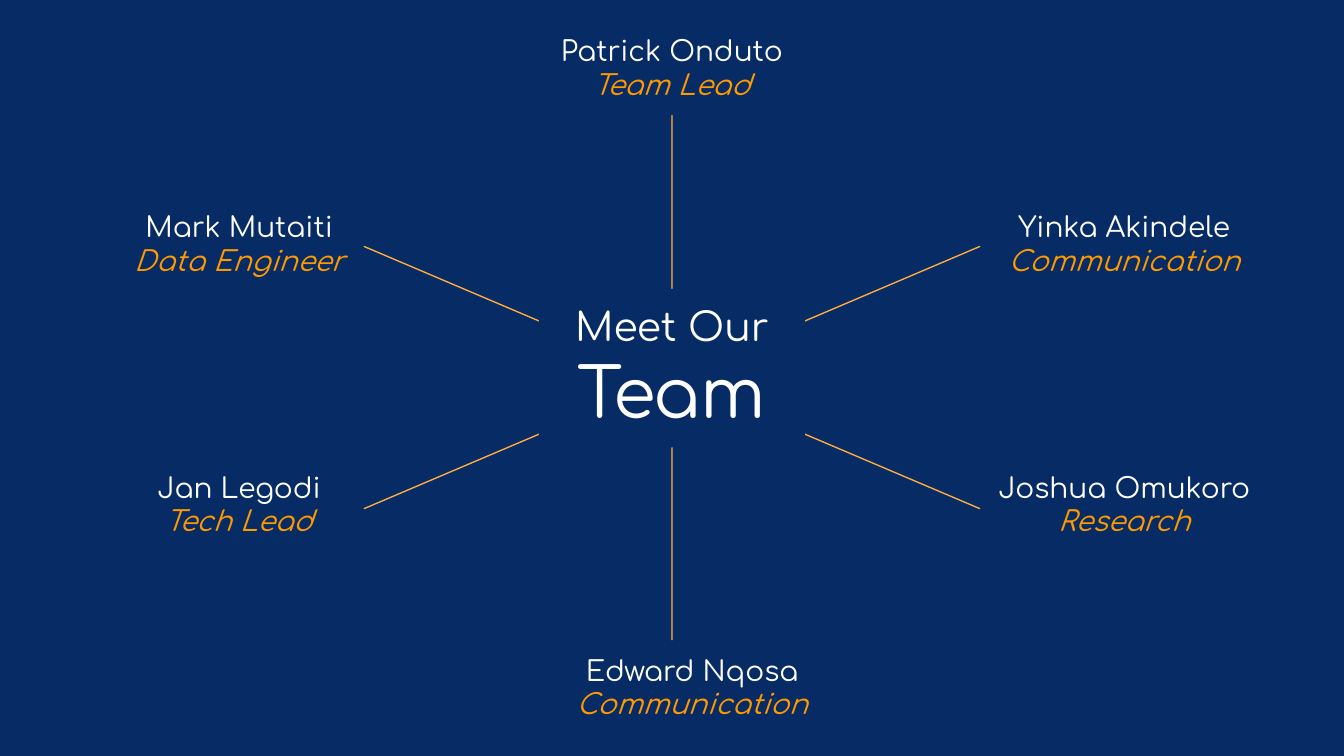
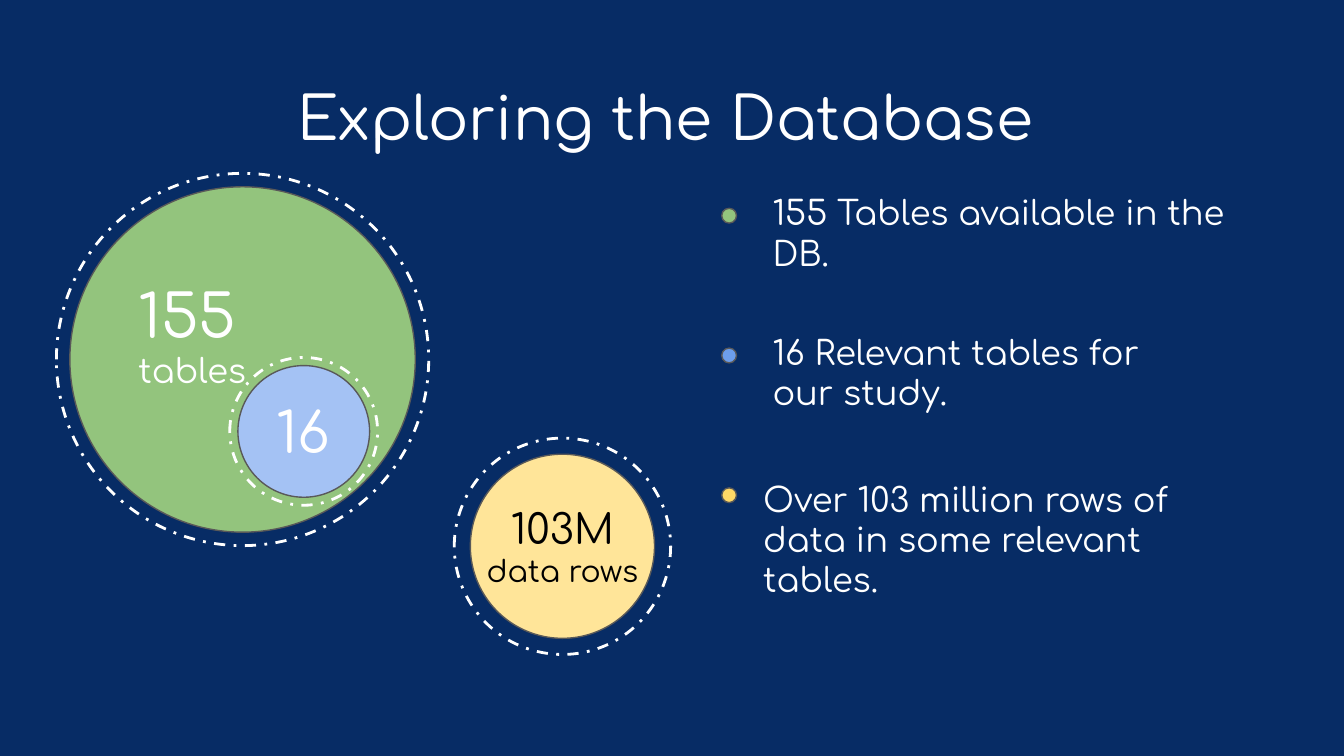
from pptx import Presentation
from pptx.dml.color import RGBColor
from pptx.enum.dml import MSO_LINE
from pptx.enum.shapes import MSO_SHAPE
from pptx.enum.text import MSO_ANCHOR, MSO_AUTO_SIZE, PP_ALIGN
from pptx.util import Emu, Pt

PX = 9144  # 100 px to the inch
FONT = "Comfortaa"
COLORS = {
    "navy": "072C65", "white": "FFFFFF", "black": "000000", "grey": "595959",
    "orange": "FF9900", "spoke": "FFAB40", "green": "93C47D",
    "light blue": "A4C2F4", "blue": "6D9EEB",
    "light yellow": "FFE599", "yellow": "FFD966",
}

# Boxes are left, top, width, height in px.
TEAM_TITLE = [("Meet Our", 21), ("Team", 37)]
TEAM_TITLE_BOX = (401, 215, 198, 118)
SPOKES_BOX = (271, 86, 458, 390)
MEMBER_HEIGHT = 71
MEMBERS = [  # name, role, left, top, width
    ("Patrick Onduto", "Team Lead", 401, 15, 198),
    ("Mark Mutaiti", "Data Engineer", 85, 146, 186),
    ("Edward Nqosa", "Communication", 416, 476, 198),
    ("Yinka Akindele", "Communication", 729, 146, 215),
    ("Jan Legodi", "Tech Lead", 85, 340, 186),
    ("Joshua Omukoro", "Research", 729, 340, 215),
]

DATABASE_TITLE = [("Exploring the Database", 32)]
DATABASE_TITLE_BOX = (211, 50, 578, 74)
ROWS_CIRCLE = {
    "disc": (350, 338, 137), "ring_gap": 12, "fill": "light yellow",
    "lines": [("103M", 22), ("data rows", 16)], "label_box": (339, 374, 159, 64),
    "color": "black", "align": PP_ALIGN.CENTER,
}
TABLES_CIRCLES = [
    {"disc": (52, 139, 257), "ring_gap": 10, "fill": "green",
     "lines": [("155", 32), ("tables", 18)], "label_box": (103, 207, 85, 84),
     "color": "white", "align": PP_ALIGN.LEFT},
    {"disc": (177, 272, 98), "ring_gap": 6, "fill": "light blue",
     "lines": [("16", 30)], "label_box": (197, 289, 57, 63),
     "color": "white", "align": PP_ALIGN.CENTER},
]
FACTS = [
    ("155 Tables available in the DB.", "green", (565, 133, 383, 81)),
    ("16 Relevant tables for our study.", "blue", (565, 237, 340, 81)),
    ("Over 103 million rows of data in some relevant tables.", "yellow",
     (558, 346, 348, 111)),
]
DOT_LEFT, DOT_TOP, DOT_SIZE, DOT_STEP = 537, 155, 11, 104


def rgb(name):
    return RGBColor.from_string(COLORS[name])


def to_emu(box):
    return [Emu(length * PX) for length in box]


def write_text(shape, lines, color="white", align=PP_ALIGN.LEFT,
               anchor=MSO_ANCHOR.TOP, inset=10, grow=True):
    """Fill a shape with one paragraph per (text, size[, color, italic]) line."""
    frame = shape.text_frame
    frame.word_wrap = True
    frame.auto_size = MSO_AUTO_SIZE.SHAPE_TO_FIT_TEXT if grow else MSO_AUTO_SIZE.NONE
    frame.vertical_anchor = anchor
    frame.margin_left = frame.margin_right = Emu(inset * PX)
    frame.margin_top = frame.margin_bottom = Emu(inset * PX)
    for index, (text, size, *style) in enumerate(lines):
        line_color, italic = style or (color, False)
        paragraph = frame.paragraphs[0] if index == 0 else frame.add_paragraph()
        paragraph.alignment = align
        run = paragraph.add_run()
        run.text = text
        run.font.name = FONT
        run.font.size = Pt(size)
        run.font.italic = italic
        run.font.color.rgb = rgb(line_color)


def add_text(shapes, box, lines, **style):
    write_text(shapes.add_textbox(*to_emu(box)), lines, **style)


def add_outlined(shapes, kind, box, fill=None, line="grey", width=0.75, dash=None):
    shape = shapes.add_shape(kind, *to_emu(box))
    shape.shadow.inherit = False
    if fill:
        shape.fill.solid()
        shape.fill.fore_color.rgb = rgb(fill)
    else:
        shape.fill.background()
    shape.line.color.rgb = rgb(line)
    shape.line.width = Pt(width)
    if dash:
        shape.line.dash_style = dash
    return shape


def add_ringed_circle(shapes, disc, ring_gap, fill, lines, label_box, color, align):
    left, top, size = disc
    ring_size = size + 2 * ring_gap
    ring_box = (left - ring_gap, top - ring_gap, ring_size, ring_size)
    add_outlined(shapes, MSO_SHAPE.OVAL, ring_box, line="white", width=1.5,
                 dash=MSO_LINE.DASH_DOT)
    add_outlined(shapes, MSO_SHAPE.OVAL, (left, top, size, size), fill)
    add_text(shapes, label_box, lines, color=color, align=align,
             anchor=MSO_ANCHOR.MIDDLE, inset=0, grow=False)


def add_titled_slide(presentation, box, lines, **style):
    """Add a slide whose title keeps exactly the size of its box."""
    slide = presentation.slides.add_slide(presentation.slide_layouts[5])
    title = slide.shapes.title
    title.left, title.top, title.width, title.height = to_emu(box)
    write_text(title, lines, grow=False, **style)
    return slide


def build_team_slide(presentation):
    slide = add_titled_slide(presentation, TEAM_TITLE_BOX, TEAM_TITLE,
                             align=PP_ALIGN.CENTER)
    spokes = add_outlined(slide.shapes, MSO_SHAPE.STAR_6_POINT, SPOKES_BOX,
                          fill="spoke", line="spoke")
    spokes.adjustments[0] = 0

    # The title hides the hub where the spokes meet, so it goes in front.
    title = slide.shapes.title
    title.fill.solid()
    title.fill.fore_color.rgb = rgb("navy")
    spokes.element.addnext(title.element)

    for name, role, left, top, width in MEMBERS:
        add_text(slide.shapes, (left, top, width, MEMBER_HEIGHT),
                 [(name, 15), (role, 15, "orange", True)], align=PP_ALIGN.CENTER)


def build_database_slide(presentation):
    slide = add_titled_slide(presentation, DATABASE_TITLE_BOX, DATABASE_TITLE)
    add_ringed_circle(slide.shapes, **ROWS_CIRCLE)
    tables_group = slide.shapes.add_group_shape()
    for circle in TABLES_CIRCLES:
        add_ringed_circle(tables_group.shapes, **circle)
    for index, (text, dot_color, box) in enumerate(FACTS):
        dot_box = (DOT_LEFT, DOT_TOP + index * DOT_STEP, DOT_SIZE, DOT_SIZE)
        add_outlined(slide.shapes, MSO_SHAPE.OVAL, dot_box, dot_color)
        add_text(slide.shapes, box, [(text, 18)])


def main():
    presentation = Presentation()
    presentation.slide_width = Emu(1000 * PX)
    presentation.slide_height = Emu(1000 * PX * 9 // 16)
    background = presentation.slide_master.background.fill
    background.solid()
    background.fore_color.rgb = rgb("navy")
    build_team_slide(presentation)
    build_database_slide(presentation)
    presentation.save("out.pptx")


if __name__ == "__main__":
    main()
